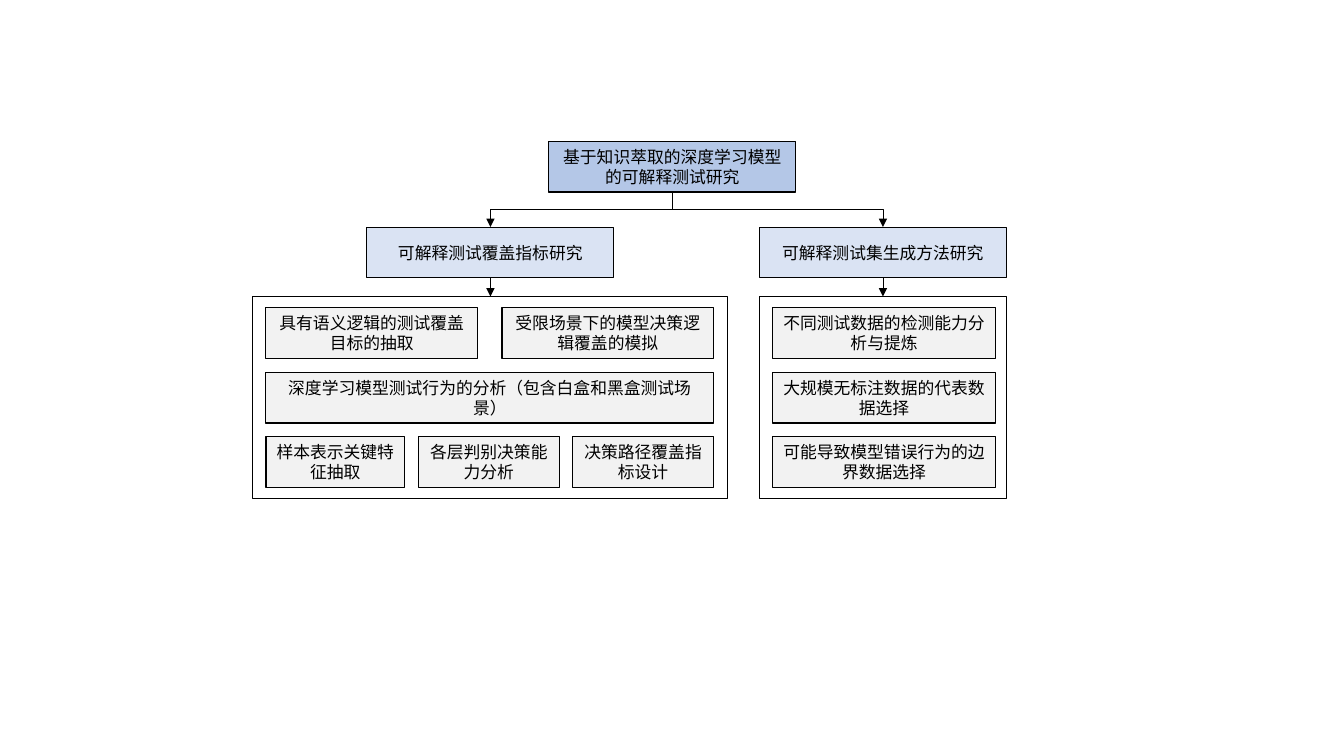
from dataclasses import dataclass

from lxml import etree
from pptx import Presentation
from pptx.dml.color import RGBColor
from pptx.enum.shapes import MSO_CONNECTOR, MSO_SHAPE
from pptx.enum.text import MSO_ANCHOR, PP_ALIGN
from pptx.oxml.ns import qn
from pptx.util import Pt

RECT = MSO_SHAPE.RECTANGLE
STRAIGHT, ELBOW = MSO_CONNECTOR.STRAIGHT, MSO_CONNECTOR.ELBOW
CENTER, MIDDLE = PP_ALIGN.CENTER, MSO_ANCHOR.MIDDLE
FONT = "Noto Sans CJK SC"
COLORS = {"line": "000000", "topic": "B4C7E7", "branch": "DAE3F3", "task": "F2F2F2"}

BOX_H, HEAD_W = 36.4, 176.6
TOPIC_X, TOPIC_Y, BRANCH_Y = 392, 100.8, 162.2
FRAME_Y, FRAME_H = 211.8, 144.6
TASK_Y, TASK_STEP = 219.8, 46


@dataclass(frozen=True)
class Task:
    text: str
    x: float
    w: float
    row: int


@dataclass(frozen=True)
class Branch:
    title: str
    x: float
    frame_x: float
    frame_w: float
    tasks: tuple[Task, ...]

    @property
    def center(self) -> float:
        return self.x + HEAD_W / 2


BRANCHES = (
    Branch("可解释测试覆盖指标研究", 262, 180.4, 339.4, (
        Task("具有语义逻辑的测试覆盖目标的抽取", 190, 151.2, 0),
        Task("受限场景下的模型决策逻辑覆盖的模拟", 358.6, 151.2, 0),
        Task("深度学习模型测试行为的分析（包含白盒和黑盒测试场景）", 190, 319.8, 1),
        Task("样本表示关键特征抽取", 190, 99, 2),
        Task("各层判别决策能力分析", 298.8, 100.8, 2),
        Task("决策路径覆盖指标设计", 409, 100.8, 2),
    )),
    Branch("可解释测试集生成方法研究", 542.4, 542.4, HEAD_W, (
        Task("不同测试数据的检测能力分析与提炼", 552, 159, 0),
        Task("大规模无标注数据的代表数据选择", 552, 159, 1),
        Task("可能导致模型错误行为的边界数据选择", 552, 159, 2),
    )),
)

prs = Presentation()
prs.slide_width, prs.slide_height = Pt(960), Pt(540)
s = prs.slides.add_slide(prs.slide_layouts[6])


def add_rect(x: float, y: float, w: float, h: float):
    sp = s.shapes.add_shape(RECT, Pt(x), Pt(y), Pt(w), Pt(h))
    sp.shadow.inherit = False
    sp.fill.background()
    sp.line.color.rgb = RGBColor.from_string(COLORS["line"])
    sp.line.width = Pt(0.75)
    return sp


def add_box(text: str, x: float, y: float, w: float, color: str) -> None:
    sp = add_rect(x, y, w, BOX_H)
    sp.fill.solid()
    sp.fill.fore_color.rgb = RGBColor.from_string(COLORS[color])
    tf = sp.text_frame
    tf.word_wrap = True
    tf.vertical_anchor = MIDDLE
    p = tf.paragraphs[0]
    p.text = text
    p.alignment = CENTER
    p.font.size = Pt(12)
    p.font.name = FONT
    p.font.color.rgb = RGBColor.from_string(COLORS["line"])
    latin = p._p.find(".//" + qn("a:latin"))
    latin.addnext(latin.makeelement(qn("a:ea"), {"typeface": FONT}))


def add_arrow(kind: MSO_CONNECTOR, x1: float, y1: float, x2: float, y2: float):
    c = s.shapes.add_connector(kind, Pt(x1), Pt(y1), Pt(x2), Pt(y2))
    c.line.color.rgb = RGBColor.from_string(COLORS["line"])
    c.line.width = Pt(0.5)
    etree.SubElement(c.line._get_or_add_ln(), qn("a:tailEnd"), type="triangle")
    etree.SubElement(c._element.spPr, qn("a:effectLst"))
    return c


def add_bent_arrow(x1: float, y1: float, x2: float, y2: float) -> None:
    cx, cy = (x1 + x2) / 2, (y1 + y2) / 2
    half_w, half_h = abs(x2 - x1) / 2, (y2 - y1) / 2
    side = 1 if x2 < x1 else -1
    c = add_arrow(ELBOW, cx - side * half_h, cy - half_w, cx + side * half_h, cy + half_w)
    degrees = 90 if side == 1 else 270
    c._element.spPr.find(qn("a:xfrm")).set("rot", str(degrees * 60000))


for branch in BRANCHES:
    add_rect(branch.frame_x, FRAME_Y, branch.frame_w, FRAME_H)
    add_box(branch.title, branch.x, BRANCH_Y, HEAD_W, "branch")
    for task in branch.tasks:
        add_box(task.text, task.x, TASK_Y + task.row * TASK_STEP, task.w, "task")
    add_arrow(STRAIGHT, branch.center, BRANCH_Y + BOX_H, branch.center, FRAME_Y)

add_box("基于知识萃取的深度学习模型的可解释测试研究", TOPIC_X, TOPIC_Y, HEAD_W, "topic")
for branch in BRANCHES:
    add_bent_arrow(TOPIC_X + HEAD_W / 2, TOPIC_Y + BOX_H, branch.center, BRANCH_Y)

prs.save("out.pptx")
